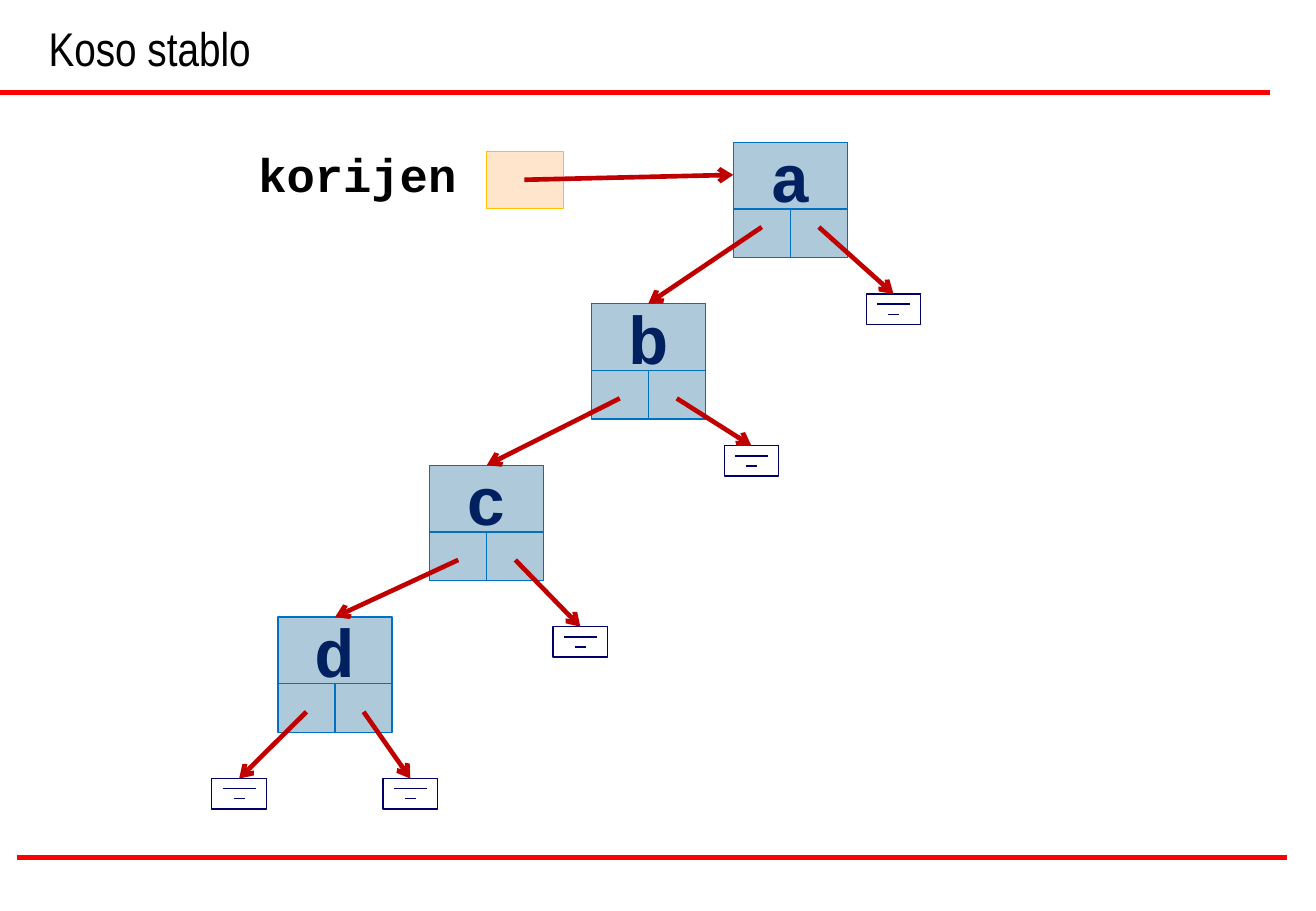
"""Build the slide on a skewed binary tree."""
from dataclasses import dataclass

from lxml import etree
from pptx import Presentation
from pptx.dml.color import RGBColor
from pptx.enum.shapes import MSO_CONNECTOR, MSO_SHAPE
from pptx.enum.text import MSO_ANCHOR, MSO_AUTO_SIZE, PP_ALIGN
from pptx.oxml.ns import qn
from pptx.util import Inches, Pt

RECT = MSO_SHAPE.RECTANGLE
STRAIGHT = MSO_CONNECTOR.STRAIGHT
NO_AUTOFIT = MSO_AUTO_SIZE.NONE
LEFT, CENTER = PP_ALIGN.LEFT, PP_ALIGN.CENTER
TOP, MIDDLE, BOTTOM = MSO_ANCHOR.TOP, MSO_ANCHOR.MIDDLE, MSO_ANCHOR.BOTTOM


@dataclass(frozen=True)
class Theme:
    """Colours, fonts and sizes of the slide."""
    text: str = "000000"
    rule: str = "FF0000"
    node_fill: str = "AEC9DA"
    node_line: str = "0070C0"
    node_text: str = "002060"
    ground: str = "000066"
    arrow: str = "C00000"
    root_fill: str = "FFCC99"
    root_line: str = "FFC000"
    title_font: str = "Arial Narrow"
    code_font: str = "Courier New"
    body_size: int = 28
    node_size: int = 40
    thin: float = 0.75
    arrow_width: float = 2.75
    rule_width: float = 3


THEME = Theme()
CELL_W, VALUE_H, CELL_H = 0.47, 0.55, 0.4
NODE_W = 2 * CELL_W
GROUND_W, GROUND_H = 0.45, 0.25

NODES = [
    ("a", 6.04, 1.17, 0.7),
    ("b", 4.87, 2.5, 0.78),
    ("c", 3.54, 3.83, 0.78),
    ("d", 2.29, 5.08, 0.78),
]
RIGHT_GROUNDS = [(7.36, 2.42), (6.19, 3.67), (4.78, 5.16), (3.38, 6.41)]
LAST_LEFT_GROUND = (1.97, 6.41)


def write_text(sp, text, font, size, color, bold=False, align=LEFT,
               anchor=TOP, wrap=False):
    """Write one formatted run into a shape."""
    tf = sp.text_frame
    tf.word_wrap = wrap
    tf.auto_size = NO_AUTOFIT
    tf.vertical_anchor = anchor
    tf.margin_left = tf.margin_right = Inches(0.1)
    tf.margin_top = tf.margin_bottom = Inches(0.05)
    p = tf.paragraphs[0]
    p.alignment = align
    r = p.add_run()
    r.text = text
    r.font.name, r.font.size, r.font.bold = font, Pt(size), bold
    r.font.color.rgb = RGBColor.from_string(color)


def add_box(shapes, x, y, w, h, line, fill=None):
    """Add a thin-lined rectangle."""
    sp = shapes.add_shape(RECT, Inches(x), Inches(y), Inches(w), Inches(h))
    sp.shadow.inherit = False
    sp.line.color.rgb = RGBColor.from_string(line)
    sp.line.width = Pt(THEME.thin)
    if fill:
        sp.fill.solid()
        sp.fill.fore_color.rgb = RGBColor.from_string(fill)
    else:
        sp.fill.background()
    return sp


def add_line(shapes, start, end, color, width, arrow=False):
    """Add a straight line, with an arrowhead at its end if asked."""
    x1, y1, x2, y2 = (Inches(v) for v in (*start, *end))
    line = shapes.add_connector(STRAIGHT, x1, y1, x2, y2)
    line.line.color.rgb = RGBColor.from_string(color)
    line.line.width = Pt(width)
    if arrow:
        ln = line._element.spPr.find(qn("a:ln"))
        etree.SubElement(ln, qn("a:tailEnd"), type="arrow")
    etree.SubElement(line._element.spPr, qn("a:effectLst"))


def add_arrow(shapes, start, end):
    """Add a pointer arrow."""
    add_line(shapes, start, end, THEME.arrow, THEME.arrow_width, arrow=True)


def add_node(shapes, label, x, y):
    """Add a tree node: a value above two pointer cells."""
    for column in range(2):
        add_box(shapes, x + column * CELL_W, y + VALUE_H, CELL_W, CELL_H,
                THEME.node_line, THEME.node_fill)
    value = add_box(shapes, x, y, NODE_W, VALUE_H, THEME.node_line, THEME.node_fill)
    write_text(value, label, THEME.code_font, THEME.node_size, THEME.node_text,
               bold=True, align=CENTER, anchor=MIDDLE)


def add_ground(shapes, x, y):
    """Add a grouped null-pointer symbol centred on x with its top at y."""
    group = shapes.add_group_shape().shapes
    for step, width in enumerate((GROUND_W, 0.27, 0.09)):
        line_y = y + step * GROUND_H / 3
        add_line(group, (x - width / 2, line_y), (x + width / 2, line_y),
                 THEME.ground, THEME.thin)
    add_box(group, x - GROUND_W / 2, y, GROUND_W, GROUND_H, THEME.ground)


def add_title(s, text):
    """Place and format the title."""
    sp = s.shapes.title
    sp.left, sp.top, sp.width, sp.height = (Inches(v) for v in (0.3, 0, 10.16, 0.68))
    write_text(sp, text, THEME.title_font, THEME.body_size, THEME.text,
               anchor=BOTTOM, wrap=True)


def add_tree(shapes):
    """Add the nodes, the null symbols and the arrows between them."""
    for label, x, y, _ in NODES:
        add_node(shapes, label, x, y)
    for x, y in [*RIGHT_GROUNDS, LAST_LEFT_GROUND]:
        add_ground(shapes, x, y)
    left_targets = [(x + CELL_W, y) for _, x, y, _ in NODES[1:]] + [LAST_LEFT_GROUND]
    for (_, x, y, drop), left, right in zip(NODES, left_targets, RIGHT_GROUNDS):
        add_arrow(shapes, (x + CELL_W / 2, y + drop), left)
        add_arrow(shapes, (x + CELL_W * 1.5, y + drop), right)


def add_root(shapes):
    """Add the root pointer with its label and arrow."""
    box = add_box(shapes, 4.01, 1.25, 0.63, 0.47, THEME.root_line, THEME.root_fill)
    color = box._element.spPr.find(qn("a:solidFill"))[0]
    etree.SubElement(color, qn("a:alpha"), val="50000")
    label = shapes.add_textbox(Inches(2.03), Inches(1.15), Inches(1.83), Inches(0.57))
    write_text(label, "korijen", THEME.code_font, THEME.body_size, THEME.text,
               bold=True)
    add_arrow(shapes, (4.32, 1.48), (NODES[0][1], 1.44))


def main():
    """Build and save the slide."""
    prs = Presentation()
    prs.slide_width, prs.slide_height = Inches(10.84), Inches(7.5)
    s = prs.slides.add_slide(prs.slide_layouts[5])
    for x, y in ((0, 0.76), (0.14, 7.06)):
        add_line(s.shapes, (x, y), (x + 10.46, y), THEME.rule, THEME.rule_width)
    add_title(s, "Koso stablo")
    add_tree(s.shapes)
    add_root(s.shapes)
    prs.save("out.pptx")


if __name__ == "__main__":
    main()
